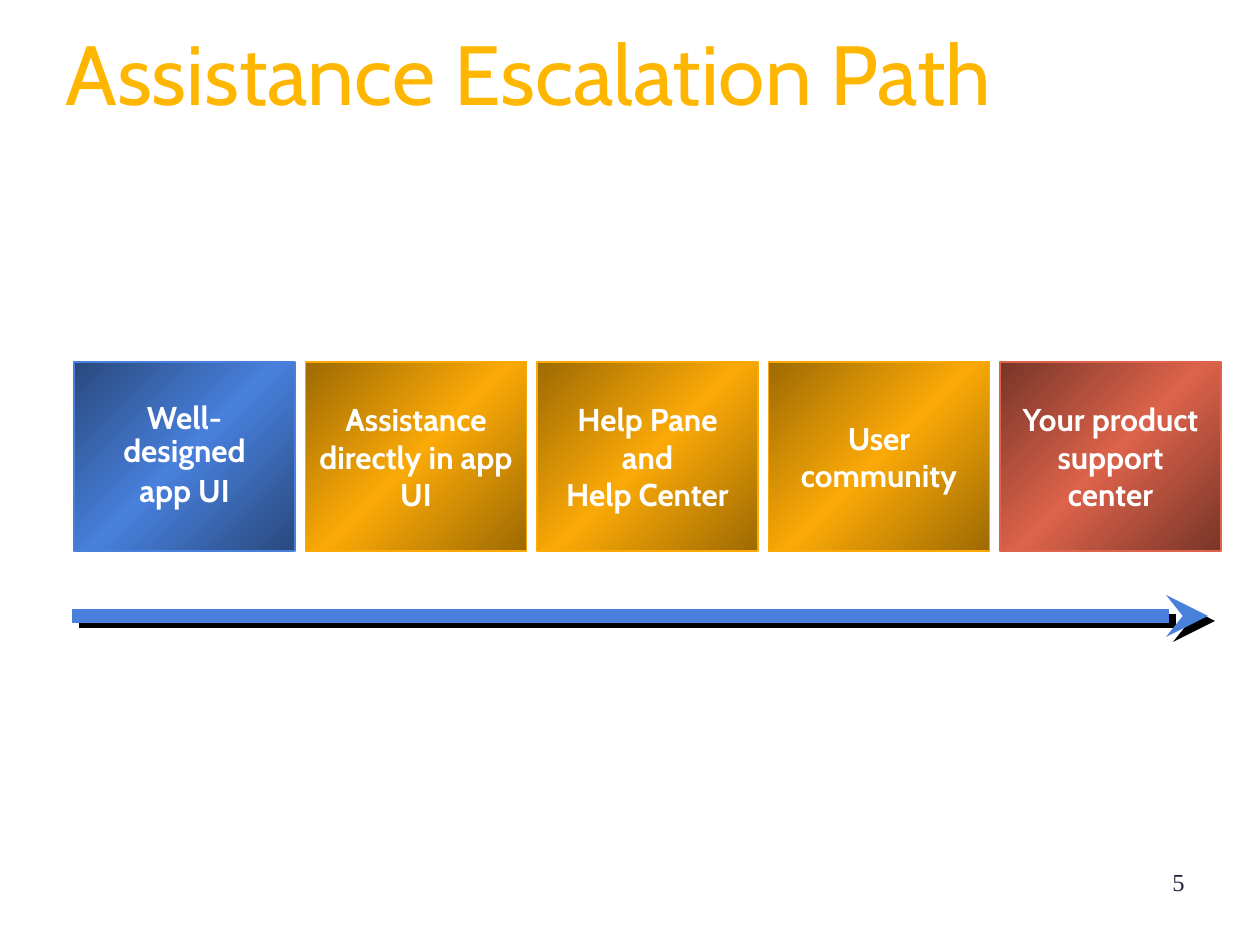
from copy import deepcopy
from lxml.etree import SubElement
from pptx import Presentation
from pptx.dml.color import RGBColor
from pptx.enum.shapes import MSO_CONNECTOR, MSO_SHAPE
from pptx.enum.text import MSO_ANCHOR, PP_ALIGN
from pptx.oxml.ns import qn
from pptx.util import Pt

THEME = {
    "blue": ("29497D", "4880DC"),
    "gold": ("9E6A03", "FAA906"),
    "red": ("773528", "DD634B"),
    "title": {"name": "Cabin", "size": 48, "color": "FFB601"},
    "step": {"name": "Cabin", "size": 18, "color": "FFFFFF", "bold": True},
    "page": {"name": "Times New Roman", "size": 14, "color": "22233A"},
    "shade": "000000",
}
TITLE = "Assistance Escalation Path"
PAGE = "5"
STEPS = [
    ("blue", ["Well-designed", "app UI"], {"line_spacing": 0.85, "space_before": Pt(4.5)}),
    ("gold", ["Assistance directly in app UI"], {}),
    ("gold", ["Help Pane", "and", "Help Center"], {}),
    ("gold", ["User community"], {}),
    ("red", ["Your product support center"], {}),
]
ARROWS = [(THEME["shade"], 79, 621), (THEME["blue"][1], 72, 616)]
REACH = 1136
LEFT, TOP, WIDE, HIGH, LAST = 74, 362, 221, 189, 1000


def px(n):
    return round(n * 914400 / 126)


def rgb(code):
    return RGBColor.from_string(code)


def write(frame, lines, style, form):
    frame.word_wrap = True
    for i, line in enumerate(lines):
        para = frame.paragraphs[0] if i == 0 else frame.add_paragraph()
        for key, value in form.items():
            if i or key != "space_before":
                setattr(para, key, value)
        run = para.add_run()
        run.text = line
        for key, value in style.items():
            if key == "color":
                run.font.color.rgb = rgb(value)
            else:
                setattr(run.font, key, Pt(value) if key == "size" else value)


def label(slide, area, text, style, form):
    box = slide.shapes.add_textbox(*map(px, area))
    write(box.text_frame, [text], style, form)
    return box


def cast(box):
    props = box.text_frame.paragraphs[0].runs[0].font._element
    effects = SubElement(props, qn("a:effectLst"))
    props.find(qn("a:solidFill")).addnext(effects)
    shade = SubElement(effects, qn("a:outerShdw"), dist="25400", dir="2700000")
    SubElement(shade, qn("a:srgbClr"), val=THEME["shade"])


def blend(shape, dark, light):
    shape.fill.gradient()
    shape.fill.gradient_angle = 135
    stops = shape._element.spPr.find(".//" + qn("a:gsLst"))
    stops.append(deepcopy(stops[0]))
    for i, (stop, code) in enumerate(zip(shape.fill.gradient_stops, (dark, light, dark))):
        stop.position = i / 2
        stop.color.rgb = rgb(code)


def arrow(slide, code, x, y):
    line = slide.shapes.add_connector(
        MSO_CONNECTOR.STRAIGHT, px(x), px(y), px(x + REACH), px(y))
    line.line.color.rgb = rgb(code)
    line.line.width = Pt(8)
    SubElement(line.line._get_or_add_ln(), qn("a:tailEnd"), type="stealth")
    SubElement(line._element.spPr, qn("a:effectLst"))


def step(slide, x, tone, lines, form):
    dark, light = THEME[tone]
    box = slide.shapes.add_shape(
        MSO_SHAPE.RECTANGLE, px(x), px(TOP), px(WIDE), px(HIGH))
    box.shadow.inherit = False
    blend(box, dark, light)
    box.line.color.rgb = rgb(light)
    box.line.width = Pt(1)
    box.text_frame.vertical_anchor = MSO_ANCHOR.MIDDLE
    write(box.text_frame, lines, THEME["step"], {"alignment": PP_ALIGN.CENTER, **form})


def main():
    deck = Presentation()
    deck.slide_width, deck.slide_height = px(1260), px(945)
    slide = deck.slides.add_slide(deck.slide_layouts[6])
    cast(label(slide, (53, 31, 1157, 98), TITLE, THEME["title"], {"line_spacing": 0.85}))
    pitch = (LAST - LEFT) / (len(STEPS) - 1)
    for i, (tone, lines, form) in enumerate(STEPS):
        step(slide, LEFT + i * pitch, tone, lines, form)
    for code, x, y in ARROWS:
        arrow(slide, code, x, y)
    label(slide, (903, 861, 294, 66), PAGE, THEME["page"], {"alignment": PP_ALIGN.RIGHT})
    deck.save("out.pptx")


if __name__ == "__main__":
    main()
